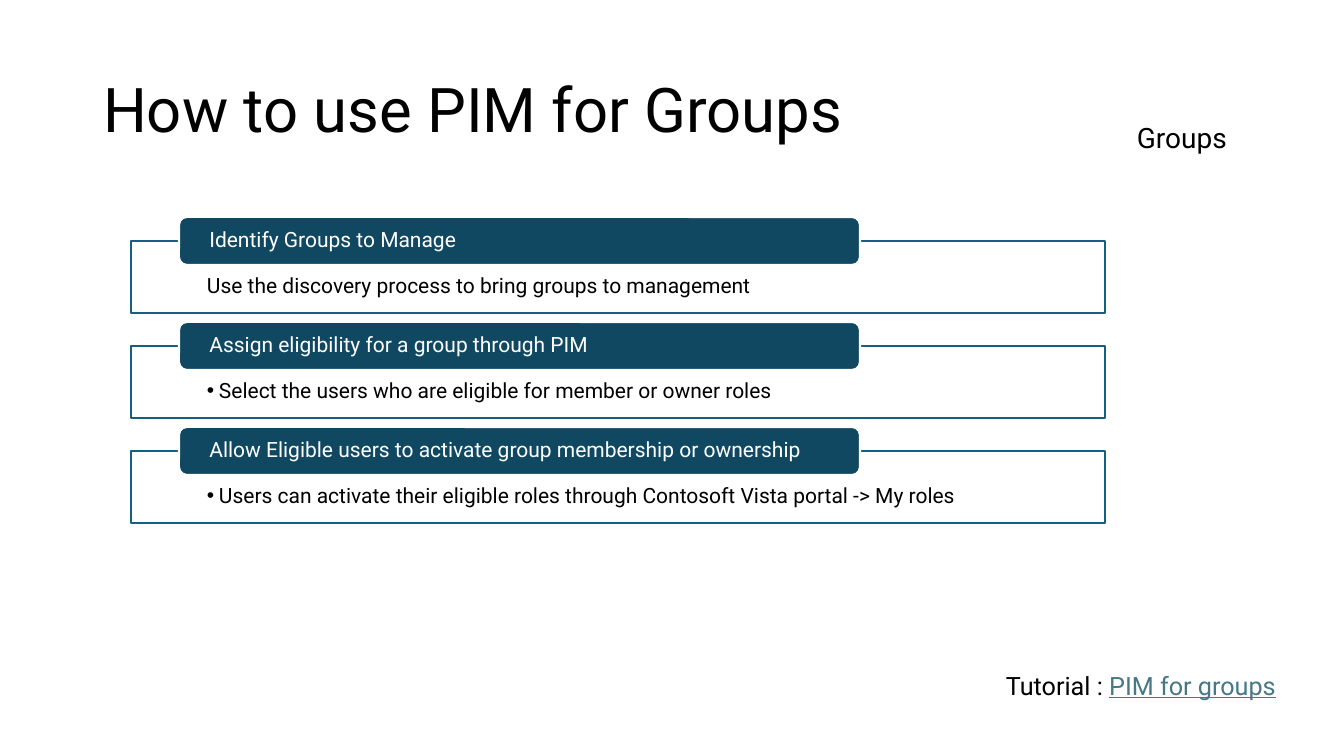
from lxml import etree
from pptx import Presentation, util as u
from pptx.dml.color import RGBColor
from pptx.enum import shapes, text
from pptx.oxml.ns import qn

PX = u.Inches(1) / 100.8
FONT = "Roboto"
BLACK = RGBColor(0x00, 0x00, 0x00)
WHITE = RGBColor(0xFF, 0xFF, 0xFF)
NAVY = RGBColor(0x10, 0x48, 0x62)
EDGE = RGBColor(0x15, 0x60, 0x82)
LINK = RGBColor(0x46, 0x78, 0x86)

TOP, PITCH = 217, 105
STEPS = [
    ("Identify Groups to Manage",
     "Use the discovery process to bring groups to management", False),
    ("Assign eligibility for a group through PIM",
     "Select the users who are eligible for member or owner roles", True),
    ("Allow Eligible users to activate group membership or ownership",
     "Users can activate their eligible roles through "
     "Contosoft Vista portal -> My roles", True),
]


def px(num):
    return u.Emu(round(num * PX))


def put(obj, **vals):
    for name, val in vals.items():
        setattr(obj, name, val)


def inset(frame, left, top, right, low):
    put(frame, margin_left=px(left), margin_top=px(top),
        margin_right=px(right), margin_bottom=px(low))


def write(frame, runs, size, **style):
    """Fill the first paragraph with (words, colour, underline) runs."""
    para = frame.paragraphs[0]
    put(para, alignment=text.PP_ALIGN.LEFT, **style)
    for words, color, under in runs:
        run = para.add_run()
        run.text = words
        put(run.font, name=FONT, size=u.Pt(size), underline=under)
        run.font.color.rgb = color
    return para


def indent(para, left, hang=0, mark=None):
    """Set the paragraph's indent in px and its bullet sign, if any."""
    props = para._p.get_or_add_pPr()
    props.set("marL", str(px(left)))
    props.set("indent", str(px(-hang)))
    if mark:
        etree.SubElement(props, qn("a:buFont"), typeface="Arial")
        etree.SubElement(props, qn("a:buChar"), char=mark)
    else:
        etree.SubElement(props, qn("a:buNone"))


def add_box(slide, kind, box, fill, line):
    shape = slide.shapes.add_shape(kind, *map(px, box))
    shape.shadow.inherit = False
    shape.fill.solid()
    shape.fill.fore_color.rgb = fill
    shape.line.color.rgb = line
    shape.line.width = u.Pt(1.5)
    shape.text_frame.word_wrap = True
    return shape


def add_label(slide, box, runs, size):
    frame = slide.shapes.add_textbox(*map(px, box)).text_frame
    frame.word_wrap = True
    return write(frame, runs, size)


def add_title(slide, words):
    title = slide.shapes.title
    put(title, left=px(93), top=px(40), width=px(1159), height=px(146))
    put(title.text_frame, vertical_anchor=text.MSO_ANCHOR.MIDDLE,
        auto_size=text.MSO_AUTO_SIZE.NONE)
    write(title.text_frame, [(words, BLACK, False)], 44, line_spacing=0.9)


def add_step(slide, top, head, note, dot):
    """Draw a framed note with a rounded heading over its top edge."""
    kinds = shapes.MSO_SHAPE
    card = add_box(slide, kinds.RECTANGLE, (131, top + 24, 974, 72),
                   WHITE, EDGE)
    tint = card.fill._xPr.find(qn("a:solidFill"))[0]
    etree.SubElement(tint, qn("a:alpha"), val="90000")
    card.text_frame.vertical_anchor = text.MSO_ANCHOR.TOP
    inset(card.text_frame, 76, 34, 76, 12)
    para = write(card.text_frame, [(note, BLACK, False)], 15,
                 line_spacing=0.9, level=1)
    indent(para, 12, 12, "•" if dot else None)

    pill = add_box(slide, kinds.ROUNDED_RECTANGLE, (179, top, 681, 48),
                   NAVY, WHITE)
    pill.text_frame.vertical_anchor = text.MSO_ANCHOR.MIDDLE
    inset(pill.text_frame, 28, 0, 28, 0)
    write(pill.text_frame, [(head, WHITE, False)], 15, line_spacing=0.9)


def main():
    deck = Presentation()
    put(deck, slide_width=px(1344), slide_height=px(756))
    slide = deck.slides.add_slide(deck.slide_layouts.get_by_name("Title Only"))
    add_title(slide, "How to use PIM for Groups")
    add_label(slide, (1127, 116, 127, 33), [("Groups", BLACK, False)], 20)
    for row, step in enumerate(STEPS):
        add_step(slide, TOP + row * PITCH, *step)
    para = add_label(slide, (971, 665, 373, 40),
                     [("Tutorial : ", BLACK, False),
                      ("PIM for groups", LINK, True)], 18)
    indent(para, 25)
    deck.save("out.pptx")


if __name__ == "__main__":
    main()
